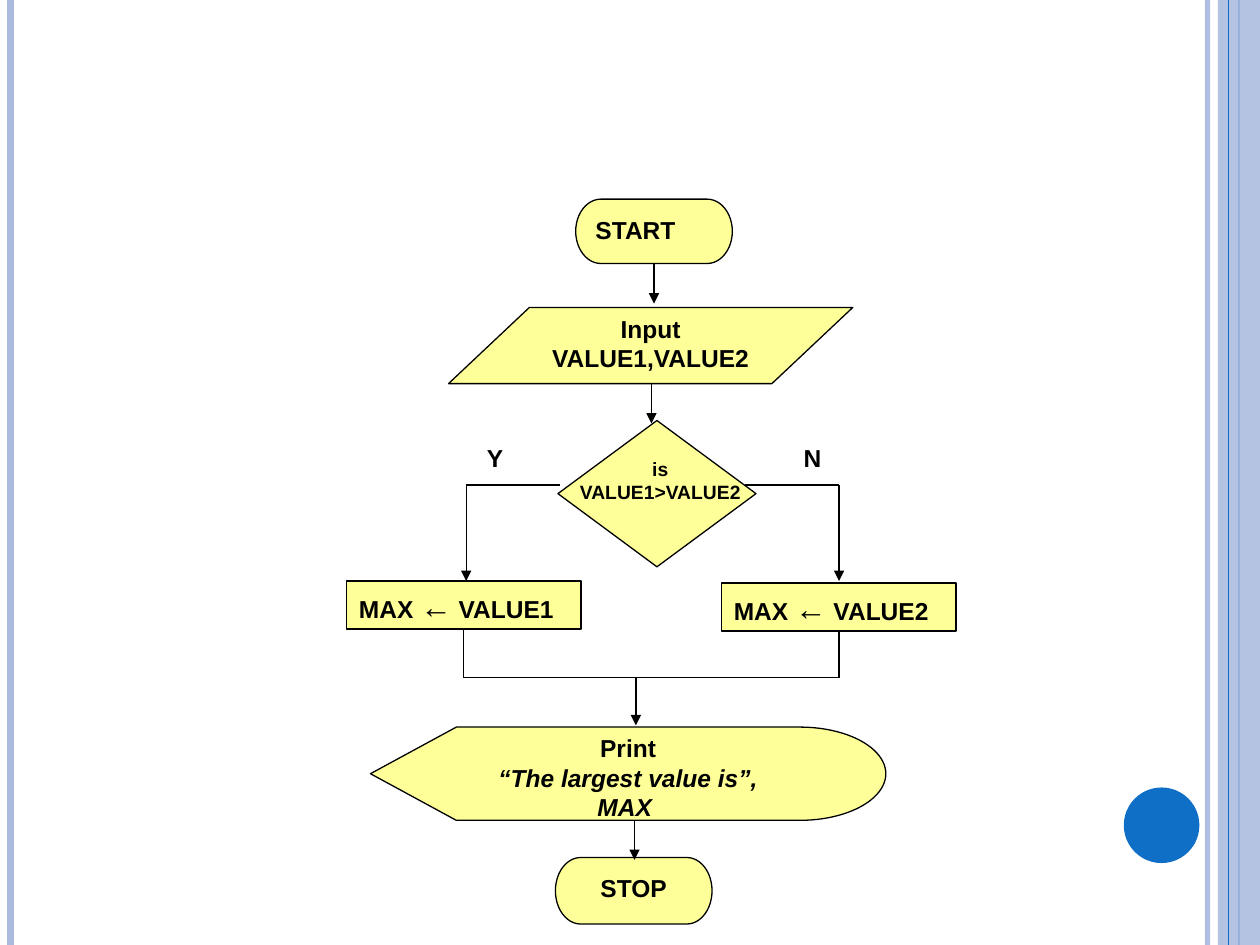
from dataclasses import dataclass

import lxml.etree
import pptx
import pptx.dml.color
import pptx.enum.shapes
import pptx.enum.text
import pptx.oxml.ns
import pptx.util

Pt = pptx.util.Pt
RGBColor = pptx.dml.color.RGBColor
Preset = pptx.enum.shapes.MSO_SHAPE
Align = pptx.enum.text.PP_ALIGN
qn = pptx.oxml.ns.qn

BLACK = RGBColor(0x00, 0x00, 0x00)
YELLOW = RGBColor(0xFF, 0xFF, 0x99)
LAVENDER = RGBColor(0xAB, 0xBB, 0xDF)
BLUE = RGBColor(0x0F, 0x6F, 0xC6)

SLIDE_WIDTH, SLIDE_HEIGHT = 720, 540
BOLD = {"name": "Arial", "size": Pt(14), "bold": True}
SMALL = {**BOLD, "size": Pt(11)}
ITALIC = {**BOLD, "italic": True}
ARROW = {**BOLD, "size": Pt(18), "bold": False}

Run = tuple[str, dict]
Paragraphs = list[list[Run]]


@dataclass
class Node:
    left: float
    top: float
    width: float
    height: float
    paragraphs: Paragraphs
    preset: Preset | None = None
    alignment: Align = Align.CENTER


@dataclass
class Line:
    start: tuple[float, float]
    end: tuple[float, float]
    arrow: bool = False
    color: RGBColor = BLACK
    width: float = 0.75
    opacity: int = 100


def assignment(left: float, top: float, value: str) -> Node:
    runs = [("MAX ", BOLD), ("\u2190", ARROW), (f" {value}", BOLD)]
    return Node(left, top, 134, 27.4, [runs], Preset.FLOWCHART_PROCESS, Align.LEFT)


def edge_line(x: float, color: RGBColor, width: float, opacity: int = 100) -> Line:
    return Line((x, 0), (x, SLIDE_HEIGHT), False, color, width, opacity)


def set_opacity(element, percent: int) -> None:
    if percent < 100:
        color = next(element.iter(qn("a:srgbClr")))
        lxml.etree.SubElement(color, qn("a:alpha"), val=str(percent * 1000))


def draw_line(slide, line: Line) -> None:
    connector = slide.shapes.add_connector(
        pptx.enum.shapes.MSO_CONNECTOR.STRAIGHT,
        *(Pt(value) for value in line.start + line.end),
    )
    connector.line.color.rgb = line.color
    connector.line.width = Pt(line.width)
    properties = connector._element.spPr
    set_opacity(properties, line.opacity)
    if line.arrow:
        outline = properties.find(qn("a:ln"))
        lxml.etree.SubElement(outline, qn("a:tailEnd"), type="triangle")
    lxml.etree.SubElement(properties, qn("a:effectLst"))


def write_text(frame, paragraphs: Paragraphs, alignment: Align) -> None:
    frame.word_wrap = True
    frame.vertical_anchor = pptx.enum.text.MSO_ANCHOR.TOP
    for index, runs in enumerate(paragraphs):
        paragraph = frame.add_paragraph() if index else frame.paragraphs[0]
        paragraph.alignment = alignment
        for text, formats in runs:
            run = paragraph.add_run()
            run.text = text
            run.font.color.rgb = BLACK
            for name, value in formats.items():
                setattr(run.font, name, value)


def draw_node(slide, node: Node) -> None:
    box = [Pt(value) for value in (node.left, node.top, node.width, node.height)]
    if node.preset is None:
        shape = slide.shapes.add_textbox(*box)
    else:
        shape = slide.shapes.add_shape(node.preset, *box)
        shape.shadow.inherit = False
        shape.fill.solid()
        shape.fill.fore_color.rgb = YELLOW
        shape.line.color.rgb = BLACK
        shape.line.width = Pt(0.75)
    if node.paragraphs:
        write_text(shape.text_frame, node.paragraphs, node.alignment)


def draw_ornament(slide, preset: Preset, box: tuple, color: RGBColor, opacity: int = 100) -> None:
    shape = slide.shapes.add_shape(preset, *(Pt(value) for value in box))
    shape.shadow.inherit = False
    shape.fill.solid()
    shape.fill.fore_color.rgb = color
    set_opacity(shape._element.spPr, opacity)
    shape.line.fill.background()


YES_X, NO_X, MERGE_X = 266.4, 479.5, 265
BRANCH_Y, MERGE_Y = 277.2, 387.2

NODES = [
    Node(329, 113.8, 89.5, 36.8, [[("START", BOLD)]], Preset.FLOWCHART_TERMINATOR, Align.LEFT),
    Node(256.3, 175.7, 231, 43.5, [[("Input", BOLD)], [("VALUE1,VALUE2", BOLD)]], Preset.FLOWCHART_DATA),
    Node(318.8, 240.3, 113.2, 83.6, [], Preset.FLOWCHART_DECISION),
    Node(292.3, 257.8, 170, 46, [[("is", SMALL)], [("VALUE1>VALUE2", SMALL)]]),
    Node(256.3, 249.8, 53.3, 27.4, [[("Y", BOLD)]]),
    Node(452.2, 249.8, 53.3, 27.4, [[("N", BOLD)]], alignment=Align.LEFT),
    assignment(198, 332, "VALUE1"),
    assignment(412.2, 333.2, "VALUE2"),
    Node(
        211.7, 415.5, 294.5, 53.3,
        [[("Print", BOLD)], [("\u201cThe largest value is\u201d, MAX ", ITALIC)]],
        Preset.FLOWCHART_DISPLAY,
    ),
    Node(317.4, 490, 89.5, 38, [[("STOP", BOLD)]], Preset.FLOWCHART_TERMINATOR),
]

FLOW_LINES = [
    Line((373.7, 150.6), (373.7, 173.5), True),
    Line((372.3, 219.2), (372.3, 242), True),
    Line((YES_X, BRANCH_Y), (320, BRANCH_Y)),
    Line((YES_X, BRANCH_Y), (YES_X, 332), True),
    Line((425.5, BRANCH_Y), (NO_X, BRANCH_Y)),
    Line((NO_X, BRANCH_Y), (NO_X, 332), True),
    Line((MERGE_X, 359.4), (MERGE_X, MERGE_Y)),
    Line((MERGE_X, MERGE_Y), (NO_X, MERGE_Y)),
    Line((NO_X, MERGE_Y), (NO_X, 360.6)),
    Line((363.4, MERGE_Y), (363.4, 414.5), True),
    Line((362.6, 468.8), (362.6, 491.4), True),
]

presentation = pptx.Presentation()
presentation.slide_width = Pt(SLIDE_WIDTH)
presentation.slide_height = Pt(SLIDE_HEIGHT)
slide = presentation.slides.add_slide(presentation.slide_layouts[6])

for border in (edge_line(690, LAVENDER, 3, 93), edge_line(6, LAVENDER, 4.5), edge_line(708, BLUE, 1.5)):
    draw_line(slide, border)
draw_ornament(slide, Preset.RECTANGLE, (696, 0, 24, SLIDE_HEIGHT), LAVENDER, 87)
draw_line(slide, edge_line(702, BLUE, 0.75))
draw_ornament(slide, Preset.OVAL, (642.2, 450, 43.2, 43.2), BLUE)

for node in NODES:
    draw_node(slide, node)
for line in FLOW_LINES:
    draw_line(slide, line)

presentation.save("out.pptx")
